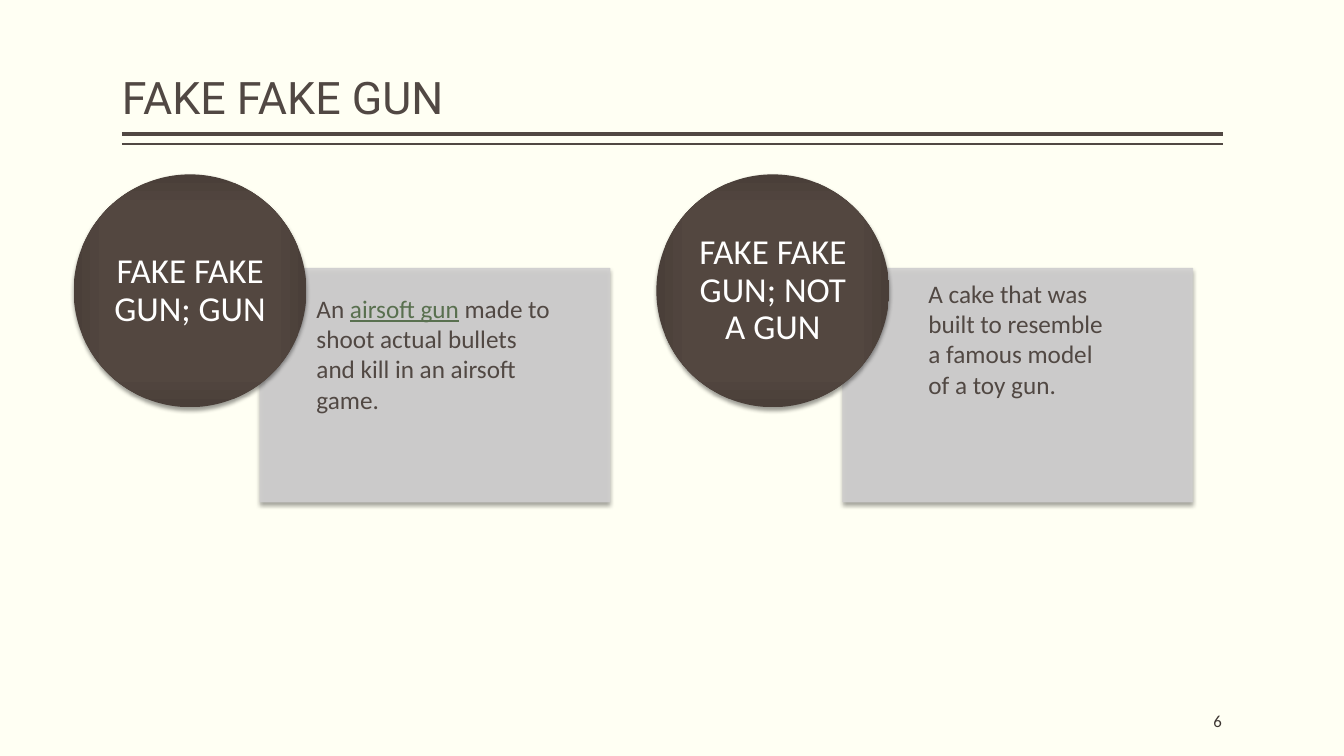
from pptx import Presentation
from pptx.dml.color import RGBColor as RGB
from pptx.enum.shapes import MSO_CONNECTOR as Conn, MSO_SHAPE as Geo
from pptx.enum.text import MSO_ANCHOR as Anchor, PP_ALIGN as Align
from pptx.oxml import parse_xml
from pptx.oxml.ns import nsdecls
from pptx.util import Inches, Pt

INK = RGB(0x51, 0x48, 0x43)
GREEN = RGB(0x59, 0x70, 0x4F)
GREY = RGB(0xD0, 0xCF, 0xCF)
DARK = RGB(0x3D, 0x36, 0x32)
WHITE = RGB(0xFF, 0xFF, 0xFF)
CREAM = RGB(0xFF, 0xFF, 0xF3)
STOPS = [(0, "544740"), (71, "534740"), (100, "4A3F39")]

TITLE = "FAKE FAKE GUN"
PAGE = "6"
RULES = [(1.33, 3), (1.43, 1)]  # height on slide, weight
# circle label, body runs (text, is a term), body box
CARDS = [
    ("FAKE FAKE GUN; GUN",
     [("An ", False), ("airsoft gun", True),
      (" made to shoot actual bullets and kill in an airsoft game.", False)],
     (3.04, 2.86, 2.55, 1.31)),
    ("FAKE FAKE GUN; NOT A GUN",
     [("A cake that was built to resemble a famous model of a toy gun.", False)],
     (9.11, 2.71, 1.96, 1.62)),
]
LEFT, TOP, STEP = 0.73, 1.73, 5.78
DISC = 2.31
PANEL = (1.85, 0.93, 3.47, 2.32)  # offset from the disc, then size
EDGE, WIDE = 1.21, 10.92


def place(box):
    return [Inches(v) for v in box]


def set_frame(shape, anchor, side=0.1, rim=0.05):
    frame = shape.text_frame
    frame.word_wrap = True
    frame.vertical_anchor = anchor
    frame.margin_left = frame.margin_right = Inches(side)
    frame.margin_top = frame.margin_bottom = Inches(rim)
    return frame.paragraphs[0]


def add_run(para, text, size, color, face="Calibri", under=None):
    run = para.add_run()
    run.text = text
    font = run.font
    font.name, font.size, font.underline = face, Pt(size), under
    font.color.rgb = color


def add_shadow(shape):
    shape.shadow.inherit = False
    shape._element.spPr.find(".//{*}effectLst").append(parse_xml(
        f'<a:outerShdw {nsdecls("a")} blurRad="{Pt(3.1)}" dist="{Pt(2)}" '
        'dir="5400000" rotWithShape="0"><a:srgbClr val="000000">'
        '<a:alpha val="38000"/></a:srgbClr></a:outerShdw>'))


def add_panel(x):
    dx, dy, wide, high = PANEL
    panel = slide.shapes.add_shape(Geo.RECTANGLE, *place((x + dx, TOP + dy, wide, high)))
    panel.fill.solid()
    panel.fill.fore_color.rgb = panel.line.color.rgb = GREY
    panel.line.width = Pt(0.5)
    for color in panel._element.spPr.iter("{*}srgbClr"):
        color.append(parse_xml(f'<a:alpha {nsdecls("a")} val="90000"/>'))
    add_shadow(panel)


def add_disc(x, label):
    disc = slide.shapes.add_shape(Geo.OVAL, *place((x, TOP, DISC, DISC)))
    disc.line.fill.background()
    stops = "".join(f'<a:gs pos="{pos * 1000}"><a:srgbClr val="{color}"/></a:gs>'
                    for pos, color in STOPS)
    disc._element.spPr.find("{*}prstGeom").addnext(parse_xml(
        f'<a:gradFill {nsdecls("a")} rotWithShape="1"><a:gsLst>{stops}</a:gsLst>'
        '<a:path path="rect"><a:fillToRect l="50000" t="50000" r="50000" b="50000"/>'
        '</a:path></a:gradFill>'))
    add_shadow(disc)
    para = set_frame(disc, Anchor.MIDDLE, 0, 0)
    para.alignment, para.line_spacing = Align.CENTER, 0.9
    add_run(para, label, 25, WHITE)


deck = Presentation()
deck.slide_width, deck.slide_height = Inches(13.33), Inches(7.5)
slide = deck.slides.add_slide(deck.slide_layouts[6])
slide.background.fill.solid()
slide.background.fill.fore_color.rgb = CREAM

for y, weight in RULES:
    rule = slide.shapes.add_connector(Conn.STRAIGHT, *place((EDGE, y, EDGE + WIDE, y)))
    rule.line.color.rgb, rule.line.width = INK, Pt(weight)
    rule._element.spPr.append(parse_xml(f'<a:effectLst {nsdecls("a")}/>'))

title = slide.shapes.add_textbox(*place((EDGE, 0.08, WIDE, 1.2)))
para = set_frame(title, Anchor.BOTTOM, 0)
para.line_spacing = 0.9
add_run(para, TITLE, 32, INK, "Roboto")

for i, (label, runs, box) in enumerate(CARDS):
    x = LEFT + i * STEP
    add_panel(x)
    add_disc(x, label)
    para = set_frame(slide.shapes.add_textbox(*place(box)), Anchor.TOP)
    for text, term in runs:
        add_run(para, text, 18, GREEN if term else INK, under=term or None)

page = slide.shapes.add_textbox(*place((10.12, 6.95, 2, 0.4)))
para = set_frame(page, Anchor.MIDDLE, 0)
para.alignment = Align.RIGHT
add_run(para, PAGE, 12, DARK)

deck.save("out.pptx")
